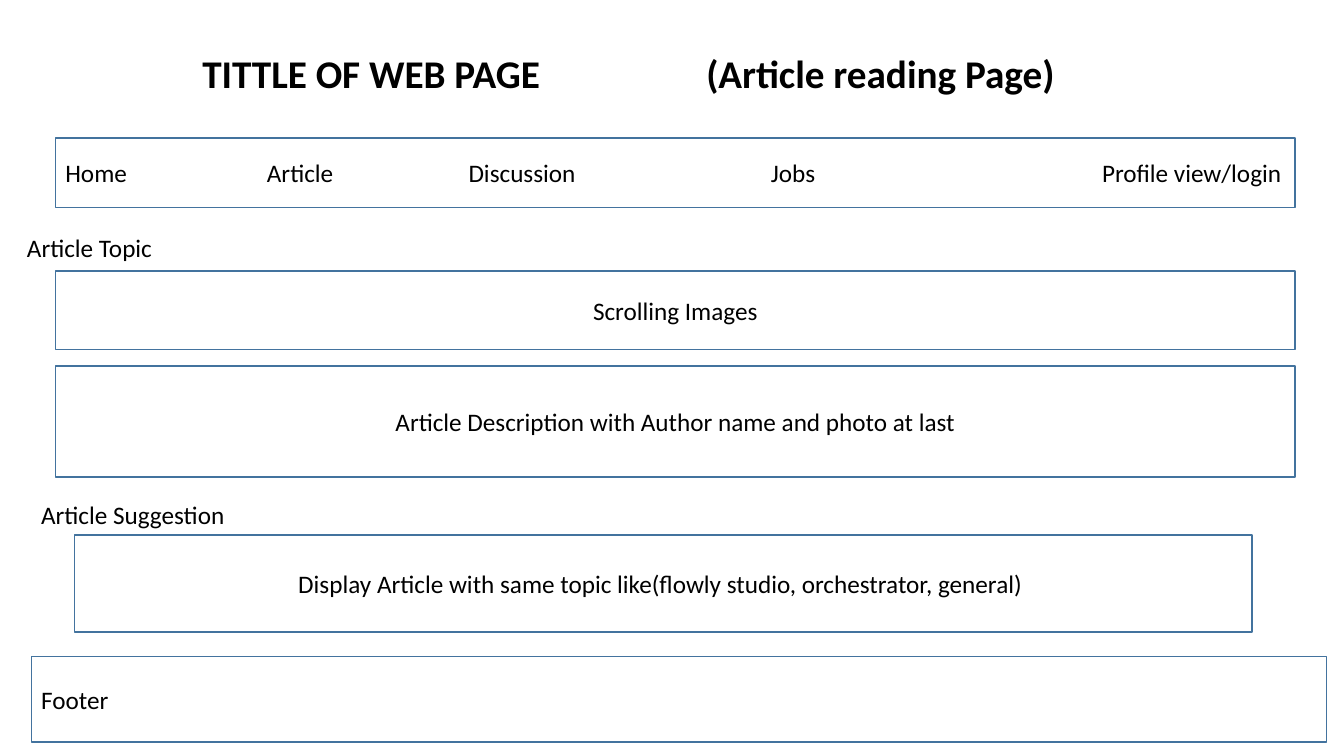
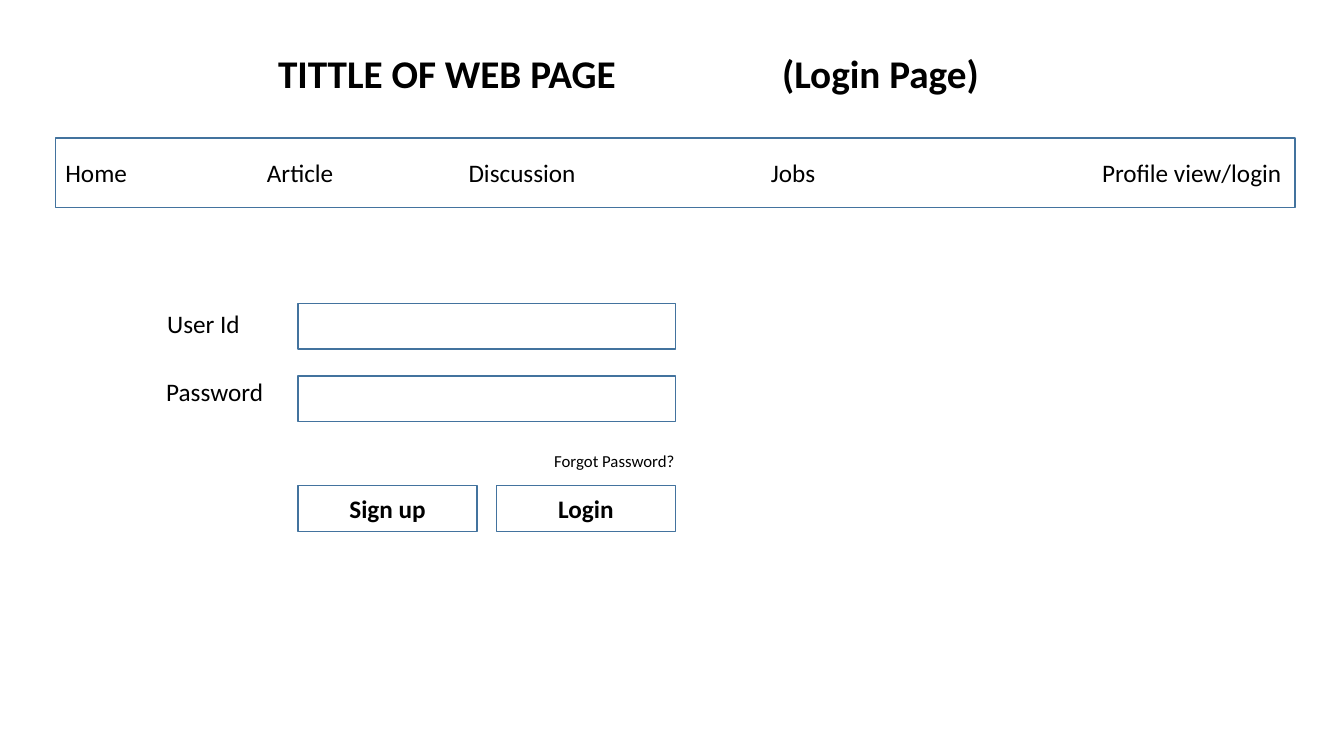
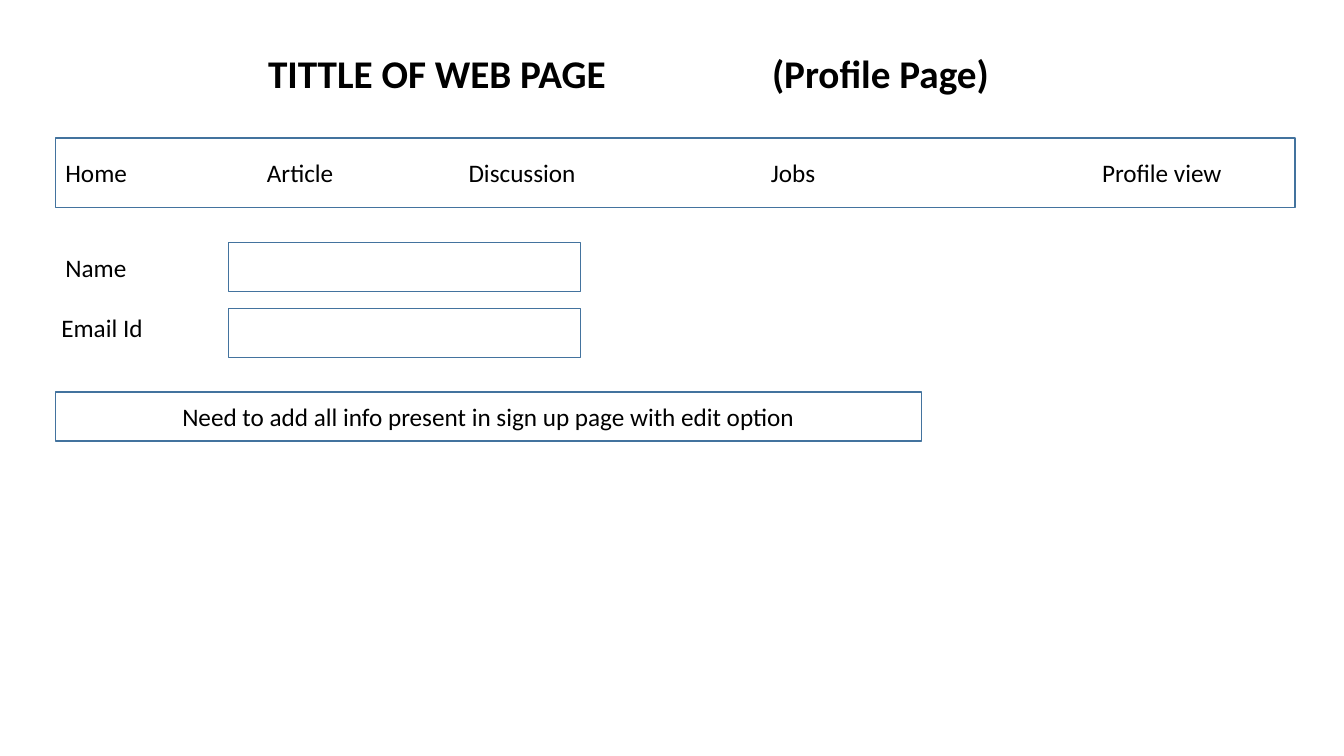
from lxml.etree import SubElement
from pptx import Presentation
from pptx.dml.color import RGBColor
from pptx.enum.shapes import MSO_SHAPE
from pptx.enum.text import MSO_ANCHOR, PP_ALIGN
from pptx.oxml.ns import qn
from pptx.util import Pt

BLACK = RGBColor(0x00, 0x00, 0x00)
BORDER = RGBColor(0x43, 0x73, 0x9E)
FONT = "Calibri"
LEFT, CENTER = PP_ALIGN.LEFT, PP_ALIGN.CENTER

SITE_TITLE = "TITTLE OF WEB PAGE"
TITLE_AREA = (32.4, 31.5, 833, 41.2)
TITLE_TABS = [360]
MENU = ["Home", "Article", "Discussion", "Jobs"]
MENU_AREA = (39.6, 98.5, 885.6, 49.7)
MENU_TABS = [144, 288, 504, 740.5]
LABEL_HEIGHT = 29

# Labels: text, left, top, width, size
# Boxes: text, left, top, width, height, alignment, bold
# Fields: left, first top, width, height, step, count
PAGES = [
    {
        "name": "(Article reading Page)",
        "profile": "Profile view/login",
        "labels": [
            ("Article Topic", 12.2, 162.7, 288, 18),
            ("Article Suggestion", 22.3, 353, 160, 18),
        ],
        "boxes": [
            ("Scrolling Images", 39.6, 193.7, 885.6, 56, CENTER, False),
            ("Article Description with Author name and photo at last",
             39.6, 261.5, 885.6, 79.2, CENTER, False),
            ("Display Article with same topic like"
             "(flowly studio, orchestrator, general) ",
             53.2, 382.2, 841, 69.3, CENTER, False),
            ("Footer", 22.3, 468.8, 925.2, 61.2, LEFT, False),
        ],
    },
    {
        "name": "(Login Page)",
        "profile": "Profile view/login",
        "labels": [
            ("User Id", 112.3, 216.7, 151, 18),
            ("Password", 111.6, 265, 151, 18),
            ("Forgot Password?", 388.8, 318.2, 133, 12),
        ],
        "fields": (213, 216.7, 269.5, 32.6, 51.9, 2),
        "boxes": [
            ("Sign up", 213, 347, 127.7, 32.6, CENTER, True),
            ("Login", 354.6, 347, 127.7, 32.6, CENTER, True),
        ],
    },
    {
        "name": "(Profile Page)",
        "profile": "Profile view",
        "labels": [
            ("Name", 39.6, 176.7, 106.5, 18),
            ("Email Id", 36.7, 219.7, 106.5, 18),
        ],
        "fields": (163.2, 173.3, 251.5, 34.9, 47, 2),
        "boxes": [
            ("Need to add all info present in sign up page with edit option",
             39.6, 280.1, 618.5, 34.9, CENTER, False),
        ],
    },
]


def write(shape, text, size=18, align=LEFT, bold=False, tabs=()):
    """Put one styled paragraph in a shape, with optional tab stops."""
    tf = shape.text_frame
    tf.word_wrap = True
    p = tf.paragraphs[0]
    p.alignment = align
    if tabs:
        tab_list = SubElement(p._p.get_or_add_pPr(), qn("a:tabLst"))
        for stop in tabs:
            SubElement(tab_list, qn("a:tab"), pos=str(int(Pt(stop))), algn="l")
    p.font.name = FONT
    p.font.size = Pt(size)
    p.font.bold = bold
    p.font.color.rgb = BLACK
    p.add_run().text = text


def add_label(s, text, area, **style):
    """Add a text box over the given area."""
    write(s.shapes.add_textbox(*map(Pt, area)), text, **style)


def add_box(s, area, text="", **style):
    """Add an outlined, unfilled rectangle with optional text."""
    sp = s.shapes.add_shape(MSO_SHAPE.RECTANGLE, *map(Pt, area))
    sp.shadow.inherit = False
    sp.fill.background()
    sp.line.color.rgb = BORDER
    sp.line.width = Pt(1)
    sp.text_frame.vertical_anchor = MSO_ANCHOR.MIDDLE
    if text:
        write(sp, text, **style)


def add_page(prs, page):
    """Build one page: shared header, then labels, fields and boxes."""
    s = prs.slides.add_slide(prs.slide_layouts[6])
    add_label(s, f"{SITE_TITLE}\t{page['name']}", TITLE_AREA,
              size=28, align=CENTER, bold=True, tabs=TITLE_TABS)
    add_box(s, MENU_AREA, "\t".join(MENU + [page["profile"]]), tabs=MENU_TABS)
    for text, left, top, width, size in page["labels"]:
        add_label(s, text, (left, top, width, LABEL_HEIGHT), size=size)
    if "fields" in page:
        left, top, width, height, step, count = page["fields"]
        for i in range(count):
            add_box(s, (left, top + i * step, width, height))
    for text, left, top, width, height, align, bold in page["boxes"]:
        add_box(s, (left, top, width, height), text, align=align, bold=bold)


prs = Presentation()
prs.slide_width, prs.slide_height = Pt(960), Pt(540)
for page in PAGES:
    add_page(prs, page)
prs.save("out.pptx")
